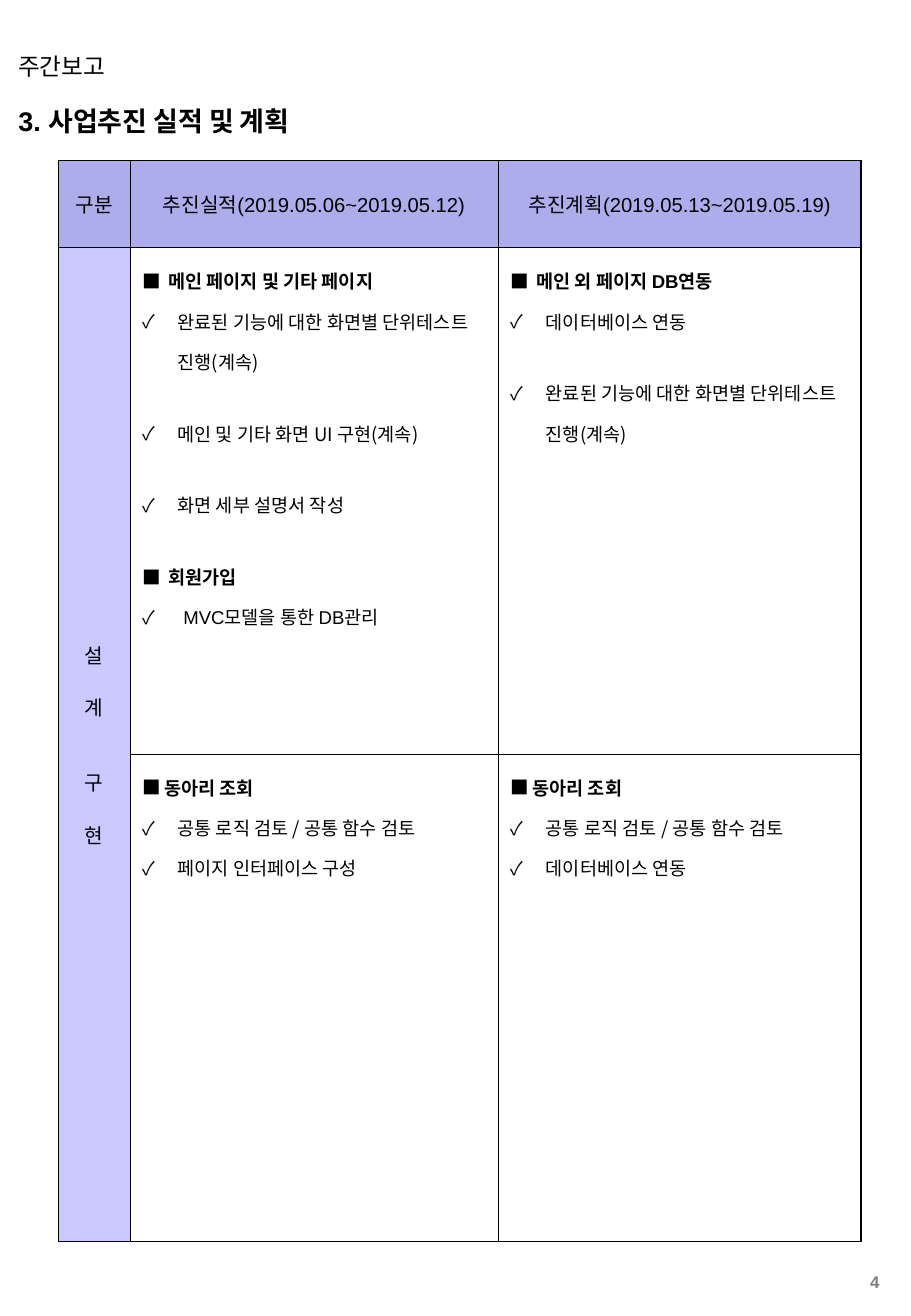
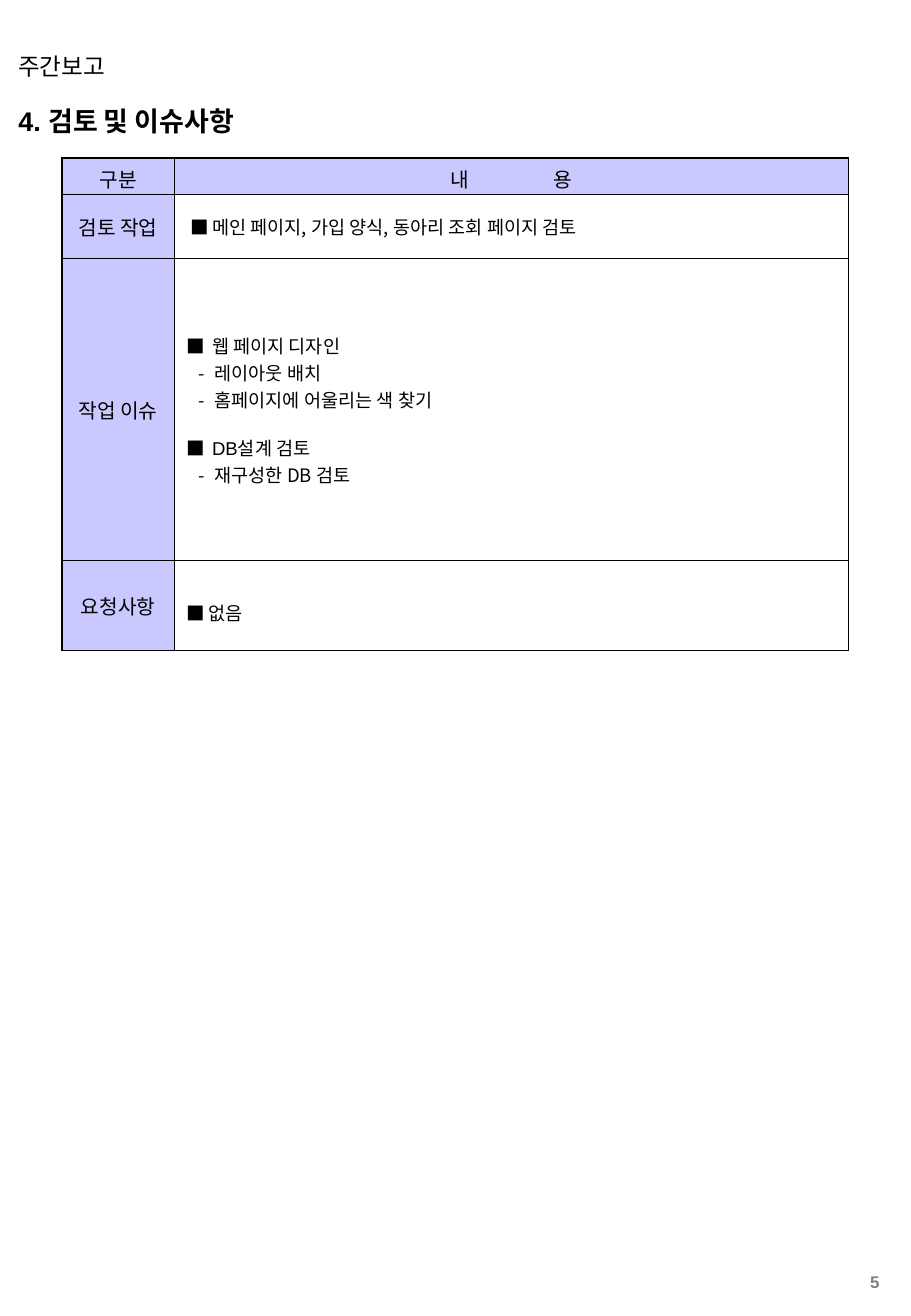
from dataclasses import dataclass, replace

from lxml import etree
from pptx import Presentation
from pptx import util as u
from pptx.dml import color
from pptx.enum import text
from pptx.oxml import ns


@dataclass(frozen=True)
class Theme:
    black: str = "000000"
    grey: str = "808080"
    header: str = "ADADEB"
    label: str = "C9C9FF"
    latin: str = "Arial"
    korean: str = "Noto Sans CJK KR"
    title: float = 16
    running: float = 14
    table: float = 12
    body: float = 11
    number: float = 10
    thin: float = 0.45
    thick: float = 1.08


T = Theme()


@dataclass(frozen=True)
class Bullet:
    char: str
    left: float
    hang: float
    bold: bool = False
    face: str = T.korean
    line: float = 1.0


HEAD = Bullet("■", 0.54, 0.54, True, T.latin, 1.5)
TIGHT = replace(HEAD, left=0.46, hang=0.46)
CHECK = Bullet("✓", 0.74, 0.74, line=1.5)
CHECK_LATIN = replace(CHECK, left=0.86, hang=0.86, face=T.latin)
TOPIC = Bullet("■", 0.54, 0.54)
TOPIC_LATIN = replace(TOPIC, face=T.latin)
NOTE = Bullet("■", 0.54, 0.46)
REQUEST = Bullet("■", 0.46, 0.46, line=1.5)
DASH = Bullet("-", 0.59, 0.34)


class Report:
    def __init__(self):
        self.prs = Presentation()
        self.prs.slide_width, self.prs.slide_height = u.Cm(19.05), u.Cm(27.53)
        self.s = None

    def page(self, title, number):
        self.s = self.prs.slides.add_slide(self.prs.slide_layouts[5])
        sp = self.s.shapes.title
        sp.left, sp.top, sp.width, sp.height = map(u.Cm, (0.13, 2.06, 13.61, 0.94))
        self.fill_text(sp, title, T.title, bold=True)
        self.box("주간보고", (0.13, 0.97, 15.11, 0.86), T.running)
        self.box(number, (17.22, 26.47, 1.42, 0.61), T.number, bold=True,
                 rgb=T.grey, align=text.PP_ALIGN.RIGHT)

    def box(self, words, at, size, **style):
        self.fill_text(self.s.shapes.add_textbox(*map(u.Cm, at)), words, size, **style)

    def fill_text(self, sp, words, size, align=text.PP_ALIGN.LEFT, **style):
        tf = sp.text_frame
        tf.word_wrap = True
        tf.auto_size = text.MSO_AUTO_SIZE.NONE
        tf.vertical_anchor = text.MSO_ANCHOR.TOP
        p = tf.paragraphs[0]
        p.text = words
        p.alignment = align
        self.font(p, size, **style)

    def font(self, p, size, face=T.latin, bold=False, rgb=T.black):
        f = p.font
        f.size, f.bold, f.name = u.Pt(size), bold, face
        f.color.rgb = color.RGBColor.from_string(rgb)
        props = p._p.pPr.find(ns.qn("a:defRPr"))
        etree.SubElement(props, ns.qn("a:ea"), typeface=T.korean)

    def table(self, left, top, cols, rows, thick):
        frame = self.s.shapes.add_table(len(rows), len(cols), u.Cm(left), u.Cm(top),
                                        u.Cm(sum(cols)), u.Cm(sum(rows)))
        tbl = frame.table
        tbl.first_row = tbl.horz_banding = False
        for col, width in zip(tbl.columns, cols):
            col.width = u.Cm(width)
        for row, height in zip(tbl.rows, rows):
            row.height = u.Cm(height)
        for i in range(len(rows)):
            for j in range(len(cols)):
                outer = {"L": j == 0, "R": j == len(cols) - 1,
                         "T": i == 0, "B": i == len(rows) - 1}
                cell = tbl.cell(i, j)
                for side, edge in outer.items():
                    self.border(cell, side, T.thick if edge and side in thick else T.thin)
                cell.fill.background()
        return tbl

    def border(self, cell, side, width):
        ln = etree.SubElement(cell._tc.get_or_add_tcPr(), ns.qn("a:ln" + side),
                              w=str(u.Pt(width)))
        fill = etree.SubElement(ln, ns.qn("a:solidFill"))
        etree.SubElement(fill, ns.qn("a:srgbClr"), val=T.black)

    def label(self, cell, lines, fill=T.label, top=0, gaps=(0,)):
        cell.fill.solid()
        cell.fill.fore_color.rgb = color.RGBColor.from_string(fill)
        cell.vertical_anchor = text.MSO_ANCHOR.MIDDLE
        cell.margin_left = cell.margin_right = cell.margin_bottom = 0
        cell.margin_top = u.Cm(top)
        tf = cell.text_frame
        tf.text = lines
        for p, gap in zip(tf.paragraphs, gaps):
            p.alignment = text.PP_ALIGN.CENTER
            p.space_before = u.Pt(gap)
            self.font(p, T.table)

    def spread(self, cell, first, last, gap):
        p = cell.text_frame.paragraphs[0]
        for words in (first, " ", last):
            p.add_run().text = words
        p.runs[1]._r.get_or_add_rPr().set("spc", str(gap * 100))

    def items(self, cell, entries, anchor=text.MSO_ANCHOR.TOP):
        cell.vertical_anchor = anchor
        tf = cell.text_frame
        for n, (bullet, words, *gap) in enumerate(entries):
            p = tf.add_paragraph() if n else tf.paragraphs[0]
            p.text = words
            self.bullet(p, bullet)
            p.line_spacing = bullet.line
            p.space_before = u.Pt(gap[0] if gap else 0)
            self.font(p, T.body, bullet.face, bullet.bold)

    def bullet(self, p, bullet):
        props = p._p.get_or_add_pPr()
        props.set("marL", str(u.Cm(bullet.left)))
        props.set("indent", str(-u.Cm(bullet.hang)))
        clr = etree.SubElement(props, ns.qn("a:buClr"))
        etree.SubElement(clr, ns.qn("a:srgbClr"), val=T.black)
        etree.SubElement(props, ns.qn("a:buFont"), typeface=T.korean)
        etree.SubElement(props, ns.qn("a:buChar"), char=bullet.char)


def progress(report):
    gap = 18.5
    report.page("3. 사업추진 실적 및 계획", "4")
    tbl = report.table(1.22, 3.35, (1.5, 7.7, 7.59), (1.83, 10.59, 10.19), "LR")
    headings = ("구분", "추진실적(2019.05.06~2019.05.12)", "추진계획(2019.05.13~2019.05.19)")
    for j, heading in enumerate(headings):
        report.label(tbl.cell(0, j), heading, T.header)
    tbl.cell(1, 0).merge(tbl.cell(2, 0))
    report.label(tbl.cell(1, 0), "설\n계\n구\n현", gaps=(0, 13.5, 27.5, 13.5))
    unit_test = "완료된 기능에 대한 화면별 단위테스트 진행(계속)"
    report.items(tbl.cell(1, 1), (
        (HEAD, "메인 페이지 및 기타 페이지"),
        (CHECK, unit_test),
        (CHECK, "메인 및 기타 화면 UI 구현(계속)", gap),
        (CHECK, "화면 세부 설명서 작성", gap),
        (HEAD, "회원가입", gap),
        (CHECK_LATIN, "MVC모델을 통한 DB관리"),
    ))
    report.items(tbl.cell(1, 2), (
        (HEAD, "메인 외 페이지 DB연동"),
        (CHECK, "데이터베이스 연동"),
        (CHECK, unit_test, gap),
    ))
    for j, task in enumerate(("페이지 인터페이스 구성", "데이터베이스 연동"), 1):
        report.items(tbl.cell(2, j), (
            (TIGHT, "동아리 조회"),
            (CHECK, "공통 로직 검토 / 공통 함수 검토"),
            (CHECK, task),
        ))


def issues(report):
    report.page("4. 검토 및 이슈사항", "5")
    tbl = report.table(1.3, 3.3, (2.34, 14.1), (0.76, 1.35, 6.32, 1.88), "LRTB")
    report.label(tbl.cell(0, 0), "구분", top=0.13)
    report.label(tbl.cell(0, 1), "", top=0.13)
    report.spread(tbl.cell(0, 1), "내", "용", 47)
    rows = (
        ("검토 작업", ((NOTE, "메인 페이지, 가입 양식, 동아리 조회 페이지 검토"),)),
        ("작업 이슈", (
            (TOPIC, "웹 페이지 디자인"),
            (DASH, "레이아웃 배치"),
            (DASH, "홈페이지에 어울리는 색 찾기"),
            (TOPIC_LATIN, "DB설계 검토", 12.5),
            (DASH, "재구성한 DB 검토"),
        )),
        ("요청사항", ((REQUEST, "없음"),)),
    )
    for i, (name, entries) in enumerate(rows, 1):
        report.label(tbl.cell(i, 0), name)
        report.items(tbl.cell(i, 1), entries, text.MSO_ANCHOR.MIDDLE)


def main():
    report = Report()
    progress(report)
    issues(report)
    report.prs.save("out.pptx")


if __name__ == "__main__":
    main()
